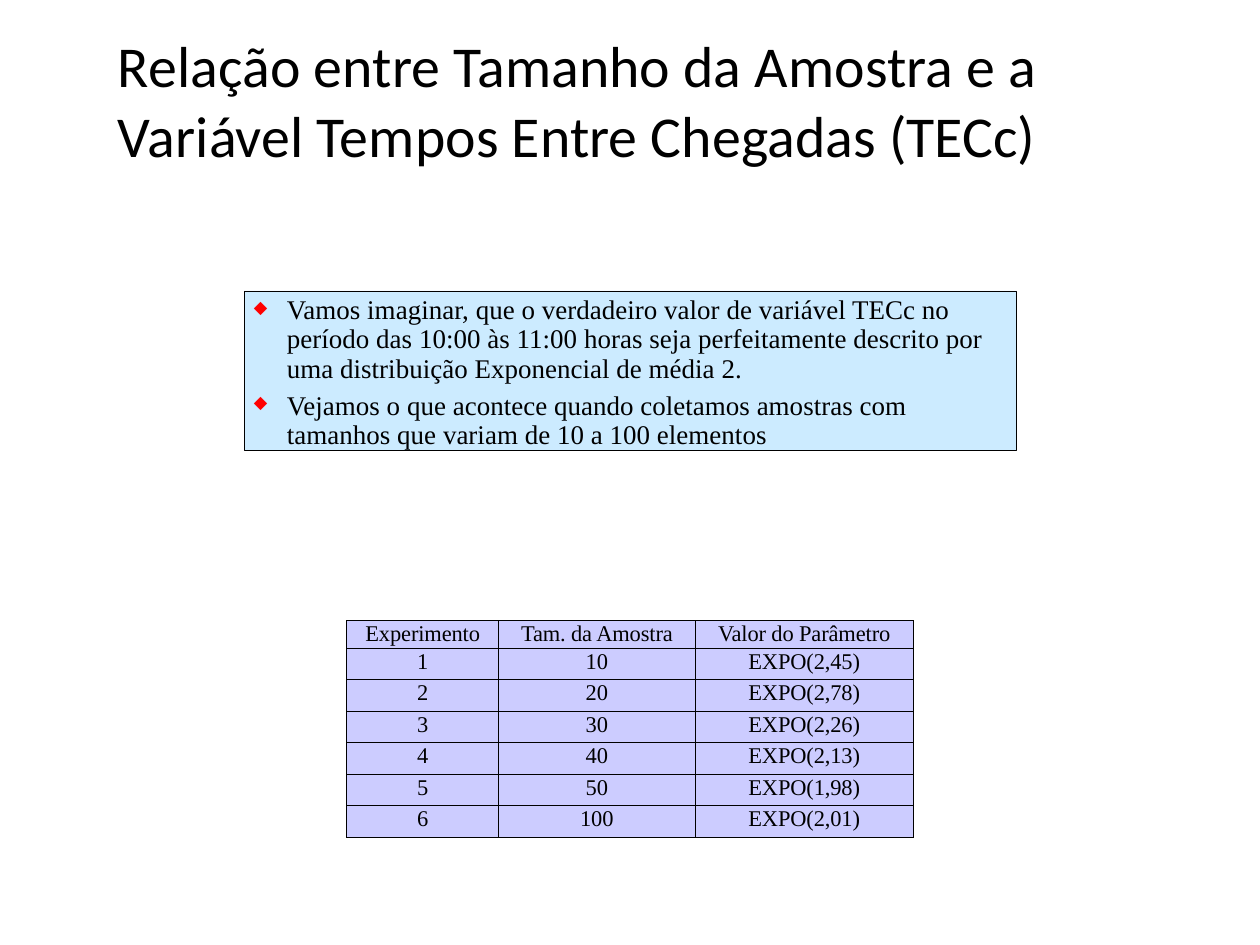
from lxml import etree
from pptx import Presentation
from pptx.dml.color import RGBColor
from pptx.enum.shapes import MSO_SHAPE
from pptx.enum.text import MSO_ANCHOR, MSO_AUTO_SIZE, PP_ALIGN
from pptx.oxml.ns import qn
from pptx.util import Inches, Pt

BLACK = RGBColor(0x00, 0x00, 0x00)
RED = RGBColor(0xFF, 0x00, 0x00)
LIGHT_BLUE = RGBColor(0xCC, 0xEB, 0xFF)
LILAC = RGBColor(0xCC, 0xCC, 0xFF)
RECTANGLE = MSO_SHAPE.RECTANGLE
LEFT, CENTER = PP_ALIGN.LEFT, PP_ALIGN.CENTER
TOP, MIDDLE = MSO_ANCHOR.TOP, MSO_ANCHOR.MIDDLE
SERIF = "Times New Roman"

TITLE = "Relação entre Tamanho da Amostra e a Variável Tempos Entre Chegadas (TECc)"
BULLETS = [
    ("Vamos imaginar, que o verdadeiro valor de variável TECc no período das 10:00 às "
     "11:00 horas seja perfeitamente descrito por uma distribuição Exponencial de média 2.",
     0.91, 4.2),
    ("Vejamos o que acontece quando coletamos amostras com tamanhos que variam de "
     "10 a 100 elementos", Pt(26), 6.5),
]
EXPERIMENTS = [
    ("Experimento", "Tam. da Amostra", "Valor do Parâmetro"),
    ("1", "10", "EXPO(2,45)"),
    ("2", "20", "EXPO(2,78)"),
    ("3", "30", "EXPO(2,26)"),
    ("4", "40", "EXPO(2,13)"),
    ("5", "50", "EXPO(1,98)"),
    ("6", "100", "EXPO(2,01)"),
]
COLUMN_WIDTHS = [1.88, 2.43, 2.7]
HEADER_HEIGHT, ROW_HEIGHT = 0.34, 0.39


def write_text(paragraph, text, font=SERIF, size=20, align=LEFT, line_spacing=1.0,
               before=0, tracking=0):
    paragraph.alignment = align
    paragraph.line_spacing = line_spacing
    paragraph.space_before = Pt(before)
    run = paragraph.add_run()
    run.text = text
    run.font.name = font
    run.font.size = Pt(size)
    run.font.color.rgb = BLACK
    run.font._element.set("spc", str(tracking))


def set_frame(frame, anchor, top=0, right=0):
    frame.word_wrap = True
    frame.auto_size = MSO_AUTO_SIZE.NONE
    frame.vertical_anchor = anchor
    frame.margin_left = frame.margin_bottom = 0
    frame.margin_top, frame.margin_right = Inches(top), Inches(right)


presentation = Presentation()
presentation.slide_width = Inches(15.59)
presentation.slide_height = Inches(11.69)
slide = presentation.slides.add_slide(presentation.slide_layouts[5])

title = slide.shapes.title
title.left, title.top = Inches(1.46), Inches(0.36)
title.width, title.height = Inches(13.22), Inches(1.73)
set_frame(title.text_frame, MIDDLE, top=0.01)
write_text(title.text_frame.paragraphs[0], TITLE, font="Calibri", size=51.5,
           line_spacing=1.01, before=0.9, tracking=10)

premise = slide.shapes.add_shape(RECTANGLE, Inches(3.02), Inches(3.6), Inches(9.56), Inches(1.97))
premise.shadow.inherit = False
premise.fill.solid()
premise.fill.fore_color.rgb = LIGHT_BLUE
premise.line.color.rgb = BLACK
premise.line.width = Pt(0.84)
frame = premise.text_frame
set_frame(frame, TOP, top=0.06, right=0.1)
for index, (text, line_spacing, before) in enumerate(BULLETS):
    paragraph = frame.add_paragraph() if index else frame.paragraphs[0]
    write_text(paragraph, text, size=24, line_spacing=line_spacing, before=before, tracking=5)
    properties = paragraph._p.get_or_add_pPr()
    properties.set("marL", str(Inches(0.53)))
    properties.set("indent", str(Inches(-0.41)))
    bullet_color = etree.SubElement(properties, qn("a:buClr"))
    etree.SubElement(bullet_color, qn("a:srgbClr"), val=str(RED))
    etree.SubElement(properties, qn("a:buSzPct"), val="65000")
    etree.SubElement(properties, qn("a:buChar"), char="◆")

table_height = HEADER_HEIGHT + ROW_HEIGHT * (len(EXPERIMENTS) - 1)
table = slide.shapes.add_table(
    len(EXPERIMENTS), len(COLUMN_WIDTHS), Inches(4.29), Inches(7.68),
    Inches(sum(COLUMN_WIDTHS)), Inches(table_height)).table
table.first_row = table.horz_banding = False
for column, width in zip(table.columns, COLUMN_WIDTHS):
    column.width = Inches(width)
for row_index, values in enumerate(EXPERIMENTS):
    table.rows[row_index].height = Inches(ROW_HEIGHT if row_index else HEADER_HEIGHT)
    for column_index, value in enumerate(values):
        cell = table.cell(row_index, column_index)
        cell.margin_left = cell.margin_right = cell.margin_top = cell.margin_bottom = 0
        cell.vertical_anchor = TOP
        write_text(cell.text_frame.paragraphs[0], value, align=CENTER,
                   line_spacing=Pt(23), tracking=-15)
        cell_properties = cell._tc.get_or_add_tcPr()
        for side in ("L", "R", "T", "B"):
            border = etree.SubElement(cell_properties, qn(f"a:ln{side}"), w=str(Pt(1)))
            border_fill = etree.SubElement(border, qn("a:solidFill"))
            etree.SubElement(border_fill, qn("a:srgbClr"), val=str(BLACK))
        cell.fill.solid()
        cell.fill.fore_color.rgb = LILAC

presentation.save("out.pptx")
